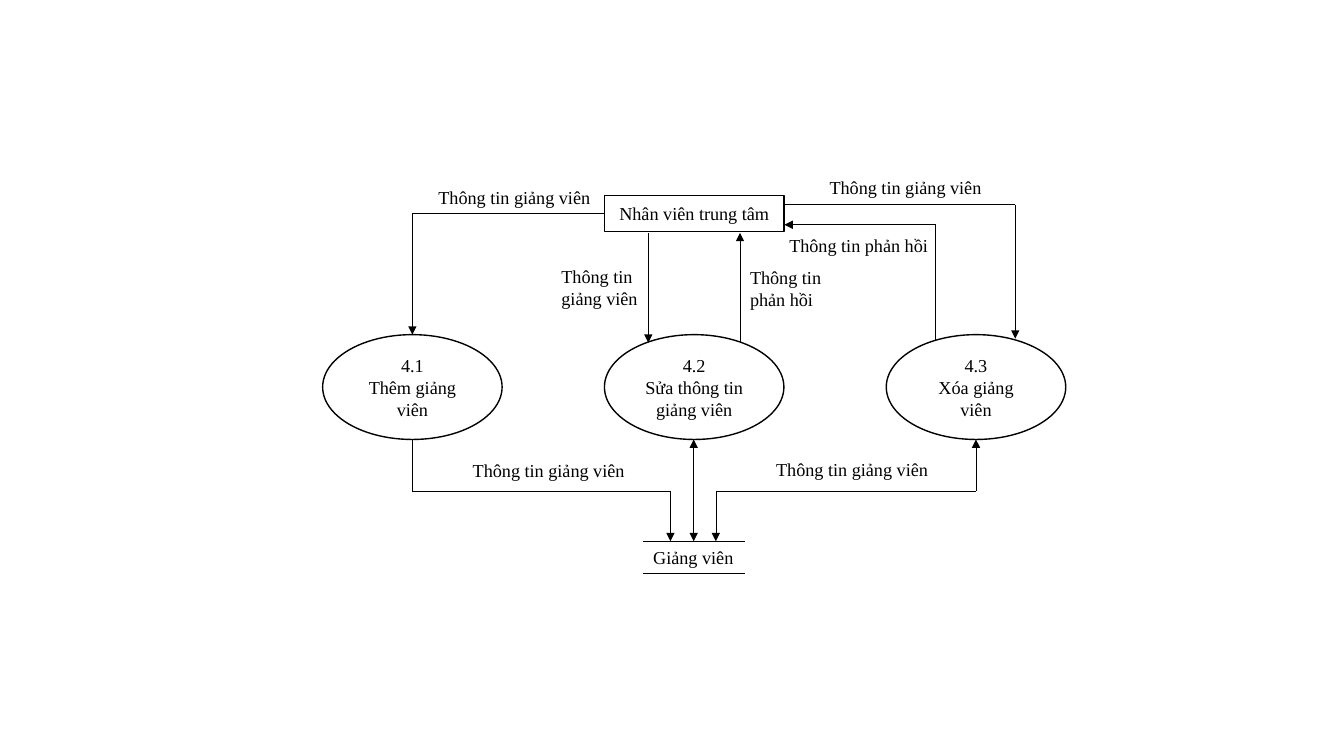
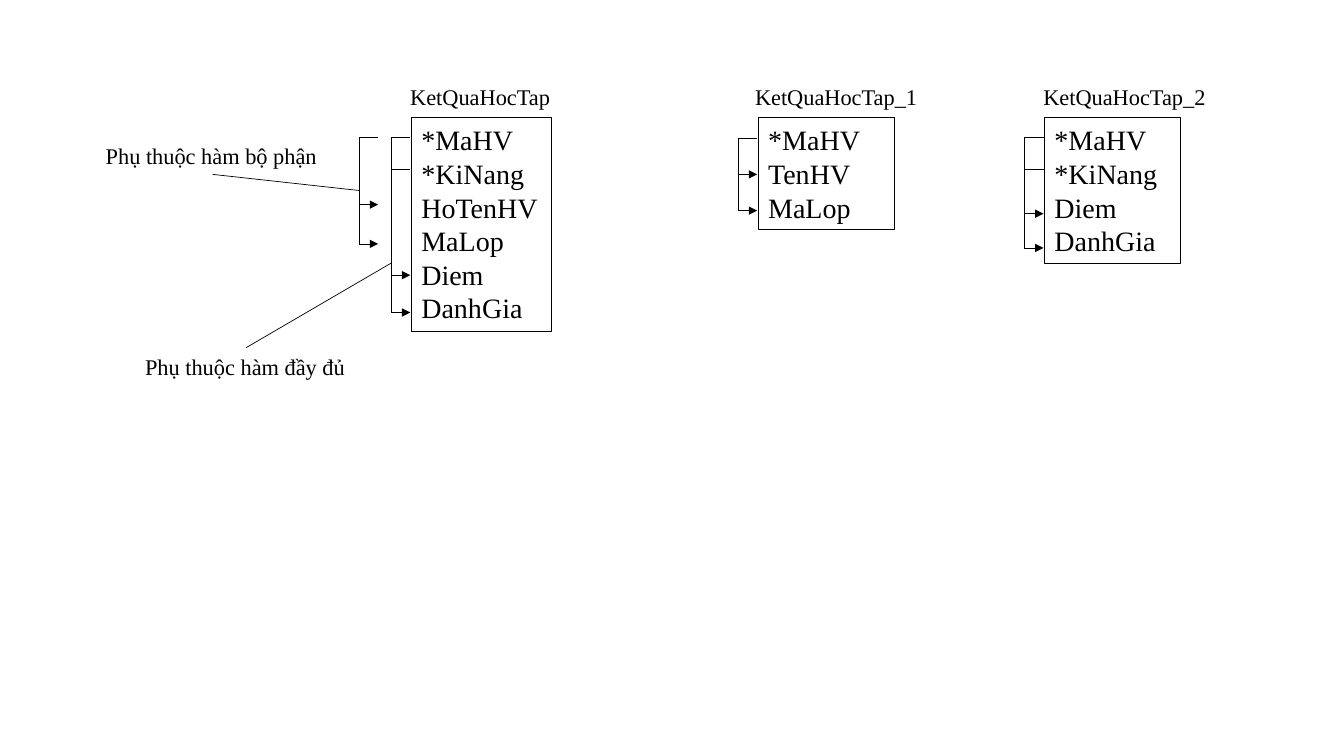
"""Build a data flow diagram slide and a functional dependency slide."""
import pptx
import pptx.util
import pptx.dml.color
import pptx.enum.shapes
import pptx.enum.text
import pptx.oxml
import pptx.oxml.ns
import itertools

Inches = pptx.util.Inches
Pt = pptx.util.Pt
KIND = pptx.enum.shapes.MSO_SHAPE
ALIGN = pptx.enum.text.PP_ALIGN
ANCHOR = pptx.enum.text.MSO_ANCHOR
FIT = pptx.enum.text.MSO_AUTO_SIZE

BLACK = pptx.dml.color.RGBColor(0, 0, 0)
WHITE = pptx.dml.color.RGBColor(255, 255, 255)
FONT = "Times New Roman"
THIN = 0.5

INFO = "Thông tin giảng viên"
REPLY = "Thông tin phản hồi"
STAFF = "Nhân viên trung tâm"
STORE = "Giảng viên"
TASKS = [
    ("4.1", "Thêm giảng viên"),
    ("4.2", "Sửa thông tin giảng viên"),
    ("4.3", "Xóa giảng viên"),
]
TASK_X, TASK_Y, TASK_W, TASK_H, TASK_STEP = 3.2, 3.32, 1.78, 1.04, 2.795
FLOW_TEXT = [
    (INFO, 4.25, 1.8, 1.73, False),
    (INFO, 8.13, 1.7, 1.73, False),
    (REPLY, 7.73, 2.27, 1.6, False),
    (INFO, 5.47, 2.58, 1, True),
    (REPLY, 7.34, 2.59, 0.92, True),
    (STORE, 6.38, 5.37, 1.01, False),
    (INFO, 4.59, 4.51, 1.73, False),
    (INFO, 7.6, 4.5, 1.73, False),
]
FLOWS = [
    ([(5.99, 2.12), (4.09, 2.12), (4.09, 3.32)], "tail"),
    ([(6.43, 2.31), (6.43, 3.4)], "tail"),
    ([(7.34, 3.4), (7.34, 2.31)], "tail"),
    ([(7.78, 2.03), (10.07, 2.03), (10.07, 3.36)], "tail"),
    ([(9.28, 3.38), (9.28, 2.23), (7.78, 2.23)], "tail"),
    ([(4.09, 4.36), (4.09, 4.87), (6.65, 4.87), (6.65, 5.37)], "tail"),
    ([(6.88, 4.36), (6.88, 5.37)], "both"),
    ([(9.68, 4.36), (9.68, 4.87), (7.1, 4.87), (7.1, 5.37)], "both"),
    ([(6.38, 5.37), (7.39, 5.37)], ""),
    ([(6.38, 5.69), (7.39, 5.69)], ""),
]

TABLES = [
    (4.08, 1.39, ["*MaHV", "*KiNang", "HoTenHV", "MaLop", "Diem", "DanhGia"]),
    (7.52, 1.35, ["*MaHV", "TenHV", "MaLop"]),
    (10.36, 1.35, ["*MaHV", "*KiNang", "Diem", "DanhGia"]),
]
TABLE_Y, ROW, PAD = 1.17, 0.336, 0.1
NAMES = [
    ("KetQuaHocTap", 3.97, 0.78, 1.61),
    ("KetQuaHocTap_1", 7.39, 0.78, 1.83),
    ("KetQuaHocTap_2", 10.25, 0.78, 1.83),
    ("Phụ thuộc hàm đầy đủ", 1.34, 3.45, 2.21),
    ("Phụ thuộc hàm bộ phận", 0.95, 1.36, 2.32),
]
FORKS = [
    (4.07, [1.36, 1.68], [2.73, 3.1]),
    (3.75, [1.36], [2.03, 2.42]),
    (7.51, [1.37], [1.73, 2.09]),
    (10.35, [1.36, 1.68], [2.12, 2.46]),
]
TINE = 0.19
LEADS = [[(3.88, 2.61), (2.44, 3.45)], [(3.56, 1.89), (2.11, 1.73)]]


def apply(item, form):
    """Set each attribute named in a dict."""
    for key, val in form.items():
        setattr(item, key, val)


def write(shape, lines, size, align, frame):
    """Fill a shape with one paragraph for each line."""
    text = shape.text_frame
    text.text = "\n".join(lines)
    apply(text, frame)
    for para in text.paragraphs:
        para.alignment = align
        for run in para.runs:
            apply(run.font, {"name": FONT, "size": Pt(size)})
            run.font.color.rgb = BLACK


def block(slide, kind, box, lines, size, align, frame, width, fill=None):
    """Add an outlined shape with text."""
    shape = slide.shapes.add_shape(kind, *map(Inches, box))
    shape.shadow.inherit = False
    if fill is None:
        shape.fill.background()
    else:
        shape.fill.solid()
        shape.fill.fore_color.rgb = fill
    shape.line.color.rgb = BLACK
    shape.line.width = Pt(width)
    write(shape, lines, size, align, frame)


def label(slide, text, x, y, w, h, size, wrap=False):
    """Add a text box that fits its text."""
    box = slide.shapes.add_textbox(*map(Inches, (x, y, w, h)))
    frame = {"word_wrap": wrap, "auto_size": FIT.SHAPE_TO_FIT_TEXT}
    write(box, [text], size, ALIGN.LEFT, frame)


def route(slide, points, heads=""):
    """Join points with straight lines and put arrowheads on the ends."""
    pairs = list(itertools.pairwise(points))
    for num, (start, stop) in enumerate(pairs):
        line = slide.shapes.add_connector(
            pptx.enum.shapes.MSO_CONNECTOR.STRAIGHT, *map(Inches, start + stop))
        line.line.color.rgb = BLACK
        line.line.width = Pt(THIN)
        ends = [("a:headEnd", num == 0 and heads == "both"),
                ("a:tailEnd", num == len(pairs) - 1 and heads != "")]
        for tag, shown in ends:
            if shown:
                end = pptx.oxml.ns.qn(tag)
                line.line._get_or_add_ln().append(
                    pptx.oxml.parse_xml(f'<{tag} {pptx.oxml.ns.nsdecls("a")} type="triangle"/>')
                    if end else None)
        line._element.spPr.append(
            pptx.oxml.parse_xml(f'<a:effectLst {pptx.oxml.ns.nsdecls("a")}/>'))


def draw_flow(slide):
    """Draw the tasks, the staff, the store and the flows between them."""
    mid = {"word_wrap": True, "vertical_anchor": ANCHOR.MIDDLE}
    look = (13, ALIGN.CENTER, mid, 1, WHITE)
    for num, lines in enumerate(TASKS):
        box = (TASK_X + num * TASK_STEP, TASK_Y, TASK_W, TASK_H)
        block(slide, KIND.OVAL, box, lines, *look)
    box = (TASK_X + TASK_STEP, 1.94, TASK_W, 0.36)
    block(slide, KIND.RECTANGLE, box, [STAFF], *look)
    for points, heads in FLOWS:
        route(slide, points, heads)
    for text, x, y, w, wrap in FLOW_TEXT:
        label(slide, text, x, y, w, 0.54 if wrap else 0.32, 13, wrap)


def draw_tables(slide):
    """Draw the relations with their dependency forks."""
    top = {"word_wrap": True, "vertical_anchor": ANCHOR.TOP,
           "auto_size": FIT.SHAPE_TO_FIT_TEXT}
    for x, w, rows in TABLES:
        box = (x, TABLE_Y, w, PAD + ROW * len(rows))
        block(slide, KIND.RECTANGLE, box, rows, 20, ALIGN.LEFT, top, 0.75)
    for right, keys, goals in FORKS:
        left = right - TINE
        route(slide, [(left, keys[0]), (left, goals[-1])])
        for y in keys:
            route(slide, [(right, y), (left, y)])
        for y in goals:
            route(slide, [(left, y), (right, y)], "tail")
    for points in LEADS:
        route(slide, points)
    for text, x, y, w in NAMES:
        label(slide, text, x, y, w, 0.37, 16)


def main():
    """Build and save both slides."""
    deck = pptx.Presentation()
    apply(deck, {"slide_width": Inches(13.33), "slide_height": Inches(7.5)})
    for draw in (draw_flow, draw_tables):
        draw(deck.slides.add_slide(deck.slide_layouts[6]))
    deck.save("out.pptx")


if __name__ == "__main__":
    main()
